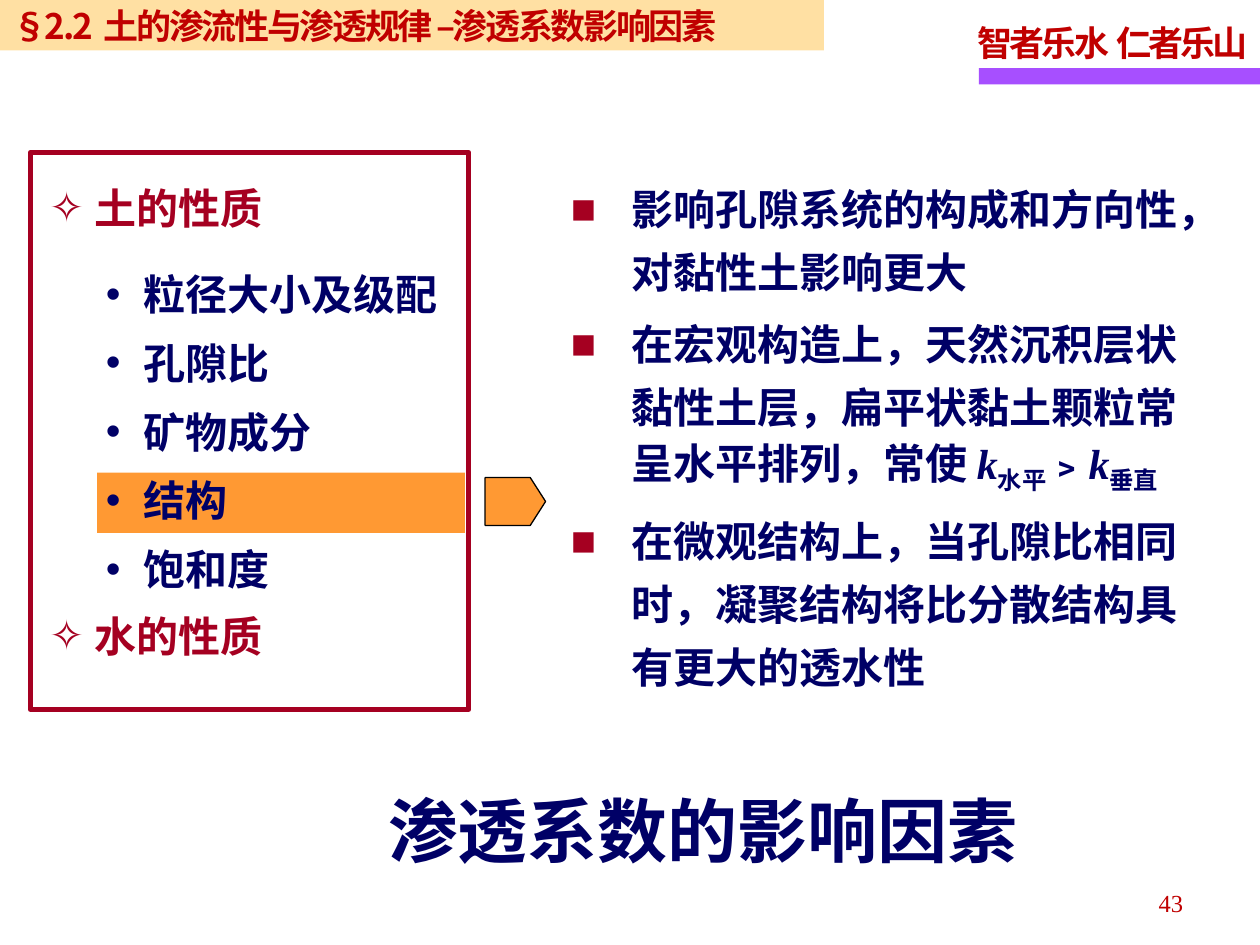
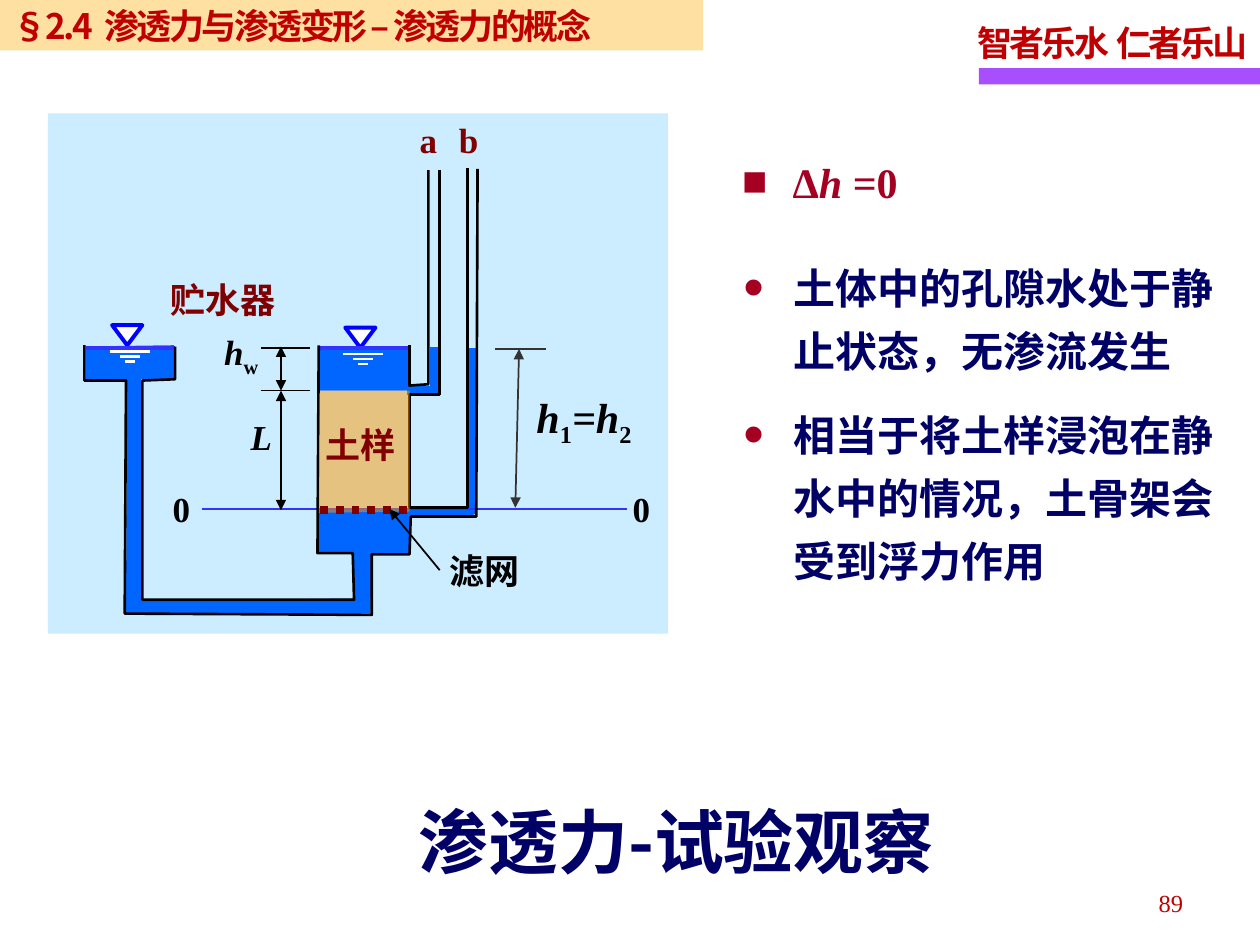
from typing import NamedTuple, Optional

from lxml import etree
from pptx import Presentation
from pptx.dml.color import RGBColor
from pptx.enum.dml import MSO_LINE
from pptx.enum.shapes import MSO_CONNECTOR, MSO_SHAPE
from pptx.enum.text import MSO_ANCHOR, MSO_AUTO_SIZE, PP_ALIGN
from pptx.oxml.ns import qn
from pptx.util import Emu, Inches, Pt

RECTANGLE, TRIANGLE, PENTAGON = MSO_SHAPE.RECTANGLE, MSO_SHAPE.ISOSCELES_TRIANGLE, MSO_SHAPE.PENTAGON
STRAIGHT, DOTTED = MSO_CONNECTOR.STRAIGHT, MSO_LINE.ROUND_DOT
LEFT, CENTER, RIGHT = PP_ALIGN.LEFT, PP_ALIGN.CENTER, PP_ALIGN.RIGHT
TOP, MIDDLE = MSO_ANCHOR.TOP, MSO_ANCHOR.MIDDLE

SANS, SERIF, LABEL_FONT = "Noto Sans CJK SC", "Times New Roman", "Arial"
NAVY, CRIMSON, RED, MAROON = "000066", "A50021", "C00000", "800000"
ORANGE, SAND, PURPLE, SKY = "FF9933", "FFCC66", "A74FFF", "CCECFF"
WATER, SURFACE, BLUE, SOIL = "0066FF", "3333FF", "0000FF", "FF9900"
BLACK, WHITE, GREY = "000000", "FFFFFF", "333333"

# The slide is a grid of 100 columns by 75 rows
COLUMNS, ROWS = 100, 75
CELL = Inches(0.1)


class Box(NamedTuple):
    col: float
    row: float
    cols: float
    rows: float


class Style(NamedTuple):
    size: float
    colour: str
    font: str = SANS
    bold: bool = True
    track: float = 0
    leading: float = 1.0


class Run(NamedTuple):
    text: str
    italic: bool = False
    subscript: bool = False


class Bullet(NamedTuple):
    mark: str
    margin: float
    hang: float
    colour: str
    percent: int = 100


class Item(NamedTuple):
    runs: list[Run]
    style: Style
    bullet: Bullet
    before: float = 0


class Label(NamedTuple):
    box: Box
    runs: list[Run]
    style: Style


class Line(NamedTuple):
    start: tuple[float, float]
    end: tuple[float, float]
    colour: str = BLACK
    width: float = 1
    arrows: tuple[str, ...] = ()
    dash: Optional[MSO_LINE] = None


class WaterLevel(NamedTuple):
    centre: float
    marks_row: float


TITLE = Style(40, NAVY)
BAND = Style(20, RED, track=-1.4)
MOTTO = Style(20, RED, SERIF, track=-1.7, leading=1.15)
NUMBER = Style(14, RED, SERIF, bold=False, leading=1.15)
HEADING = Style(24, CRIMSON, leading=1.2)
FACTOR = Style(24, NAVY, SERIF, leading=1.2)
EFFECT = Style(24, NAVY, SERIF, leading=1.25)
FINDING = Style(24, NAVY, leading=1.25)
CASE = Style(24, CRIMSON, SERIF, leading=1.2)
SYMBOL, BIG_SYMBOL = Style(20, BLACK, SERIF), Style(24, BLACK, SERIF)
TUBE, PART, NET = Style(20, MAROON, SERIF), Style(20, MAROON, LABEL_FONT), Style(20, BLACK, LABEL_FONT)


def grid(cells: float) -> Emu:
    return Emu(round(cells * CELL))


def area(box: Box) -> list[Emu]:
    return [grid(cells) for cells in box]


def rgb(colour: str) -> RGBColor:
    return RGBColor.from_string(colour)


def paint(shape, fill: Optional[str] = None, line: Optional[str] = None,
          width: float = 1, alpha: int = 100) -> None:
    shape.shadow.inherit = False
    if fill:
        shape.fill.solid()
        shape.fill.fore_color.rgb = rgb(fill)
        if alpha < 100:
            tint = shape.element.spPr.find(".//" + qn("a:srgbClr"))
            etree.SubElement(tint, qn("a:alpha"), val=str(alpha * 1000))
    else:
        shape.fill.background()
    if line:
        shape.line.color.rgb = rgb(line)
        shape.line.width = Pt(width)
    else:
        shape.line.fill.background()


def add_block(slide, kind, box: Box, fill=None, line=None, width: float = 1, alpha: int = 100):
    block = slide.shapes.add_shape(kind, *area(box))
    paint(block, fill, line, width, alpha)
    return block


def add_path(slide, points, fill=None, line=None, width: float = 1.5, alpha: int = 100) -> None:
    corners = [(grid(x), grid(y)) for x, y in points]
    builder = slide.shapes.build_freeform(*corners[0])
    builder.add_line_segments(corners[1:], close=fill is not None)
    paint(builder.convert_to_shape(), fill, line, width, alpha)


def add_line(slide, line: Line):
    connector = slide.shapes.add_connector(
        STRAIGHT, *[grid(cells) for cells in line.start + line.end])
    connector.line.color.rgb = rgb(line.colour)
    connector.line.width = Pt(line.width)
    if line.dash is not None:
        connector.line.dash_style = line.dash
    properties = connector.element.spPr
    for end in line.arrows:
        etree.SubElement(properties.find(qn("a:ln")), qn(end), type="triangle")
    etree.SubElement(properties, qn("a:effectLst"))
    return connector


def prepare(frame, anchor=TOP, wrap: bool = True) -> None:
    frame.auto_size = MSO_AUTO_SIZE.NONE
    frame.word_wrap = wrap
    frame.vertical_anchor = anchor
    frame.margin_left = frame.margin_right = frame.margin_top = frame.margin_bottom = 0


def write(paragraph, runs: list[Run], style: Style, align=LEFT,
          bullet: Optional[Bullet] = None, before: float = 0) -> None:
    if bullet:
        marks = paragraph._p.get_or_add_pPr()
        marks.set("marL", str(grid(bullet.margin)))
        marks.set("indent", str(-grid(bullet.hang)))
        tint = etree.SubElement(marks, qn("a:buClr"))
        etree.SubElement(tint, qn("a:srgbClr"), val=bullet.colour)
        etree.SubElement(marks, qn("a:buSzPct"), val=str(bullet.percent * 1000))
        etree.SubElement(marks, qn("a:buFont"), typeface=LABEL_FONT)
        etree.SubElement(marks, qn("a:buChar"), char=bullet.mark)
    paragraph.alignment = align
    paragraph.line_spacing = Pt(style.size * 1.2 * style.leading)
    paragraph.space_before, paragraph.space_after = Pt(before), Pt(0)
    for piece in runs:
        run = paragraph.add_run()
        run.text = piece.text
        run.font.name, run.font.size = style.font, Pt(style.size)
        run.font.bold, run.font.italic = style.bold, piece.italic
        run.font.color.rgb = rgb(style.colour)
        properties = run._r.get_or_add_rPr()
        properties.find(qn("a:latin")).addnext(etree.Element(qn("a:ea"), typeface=SANS))
        if style.track:
            properties.set("spc", str(round(style.track * 100)))
        if piece.subscript:
            properties.set("baseline", "-25000")


def add_label(slide, label: Label, align=CENTER):
    text = slide.shapes.add_textbox(*area(label.box))
    prepare(text.text_frame, wrap=False)
    write(text.text_frame.paragraphs[0], label.runs, label.style, align)
    return text


def place(placeholder, box: Box):
    placeholder.left, placeholder.top, placeholder.width, placeholder.height = area(box)
    prepare(placeholder.text_frame)
    return placeholder.text_frame


def fill_list(placeholder, box: Box, items: list[Item]) -> None:
    frame = place(placeholder, box)
    for index, item in enumerate(items):
        paragraph = frame.add_paragraph() if index else frame.paragraphs[0]
        write(paragraph, item.runs, item.style, bullet=item.bullet, before=item.before)


def start_slide(prs, section: str, band_cols: float, title: str, title_box: Box, number: str):
    slide = prs.slides.add_slide(prs.slide_layouts.get_by_name("Two Content"))
    write(place(slide.shapes.title, title_box).paragraphs[0], [Run(title)], TITLE)
    band = add_block(slide, RECTANGLE, Box(0, 0, band_cols, 4), SAND, alpha=60)
    prepare(band.text_frame, MIDDLE)
    band.text_frame.margin_left = grid(1)
    write(band.text_frame.paragraphs[0], [Run(section)], BAND)
    add_label(slide, Label(Box(72.6, 70.1, 21.3, 3), [Run(number)], NUMBER), RIGHT)
    return slide


def brand_master(prs, slide) -> None:
    """Move the motto and its bar from the slide to the master."""
    bar = add_block(slide, RECTANGLE, Box(77.7, 5.4, 22.3, 1.3), PURPLE)
    motto = add_label(slide, Label(Box(77.6, 1.2, 21.6, 3.9), [Run("智者乐水  仁者乐山")], MOTTO), LEFT)
    for number, shape in enumerate((bar, motto), start=21):
        shape.element.nvSpPr.cNvPr.set("id", str(number))
        prs.slide_master.shapes._spTree.append(shape.element)


def build_factors(prs) -> None:
    slide = start_slide(prs, "§2.2  土的渗流性与渗透规律 –渗透系数影响因素", 65.4,
                        "渗透系数的影响因素", Box(30.8, 62.5, 54, 6.7), "43")
    brand_master(prs, slide)
    factors, effects = slide.placeholders[1], slide.placeholders[2]

    # Factors, with the current one highlighted behind the list
    highlight = add_block(slide, RECTANGLE, Box(7.7, 37.5, 29.2, 4.8), ORANGE)
    factors.element.addprevious(highlight.element)
    add_block(slide, RECTANGLE, Box(2.4, 12.1, 34.8, 44.2), line=CRIMSON, width=3)
    star, dot = Bullet("✧", 3.6, 3.6, CRIMSON), Bullet("•", 7.5, 3, NAVY)
    names = ["粒径大小及级配", "孔隙比", "矿物成分", "结构", "饱和度"]
    fill_list(factors, Box(3.9, 13.7, 32.8, 40), [
        Item([Run("土的性质")], HEADING, star),
        *[Item([Run(name)], FACTOR, dot, 4.8 if index else 14.4) for index, name in enumerate(names)],
        Item([Run("水的性质")], HEADING, star, 3.8),
    ])
    pointer = add_block(slide, PENTAGON, Box(38.5, 37.9, 4.8, 3.8), ORANGE, BLACK, 0.75)
    pointer.adjustments[0] = 0.32

    # Effects of the soil structure
    square = Bullet("■", 4.8, 4.8, CRIMSON)
    points = [
        [Run("影响孔隙系统的构成和方向性，对黏性土影响更大")],
        [Run("在宏观构造上，天然沉积层状黏性土层，扁平状黏土颗粒常呈水平排列，常使 "),
         Run("k", True), Run("水平", subscript=True), Run("﹥"),
         Run("k", True), Run("垂直", subscript=True)],
        [Run("在微观结构上，当孔隙比相同时，凝聚结构将比分散结构具有更大的透水性")],
    ]
    fill_list(effects, Box(45.3, 13.6, 51, 41.6),
              [Item(runs, EFFECT, square, 4.8 if index else 0) for index, runs in enumerate(points)])


def draw_level(slide, level: WaterLevel) -> None:
    for step, half in enumerate((1.6, 0.8, 0.4)):
        row = level.marks_row + 0.4 * step
        add_line(slide, Line((level.centre - half, row), (level.centre + half, row), WHITE, 1.5))
    add_block(slide, TRIANGLE, Box(level.centre - 1.4, level.marks_row - 2.1, 2.4, 1.6),
              WHITE, BLUE, 2.25).rotation = 180
    add_line(slide, Line((level.centre - 3.5, 27.6), (level.centre + 3.6, 27.6), SURFACE, 2.25))


def draw_apparatus(slide) -> None:
    add_block(slide, RECTANGLE, Box(3.8, 9, 49.2, 41.3), SKY)

    # Water in the vessel, the reservoir and the two tubes
    add_block(slide, RECTANGLE, Box(25.3, 27.5, 7.2, 3.5), WATER)
    add_path(slide, [(32.6, 40.4), (32.5, 44), (29.5, 44), (29.4, 48.7), (10, 48.8), (10.1, 30.2),
                     (6.8, 30.2), (6.8, 27.5), (13.8, 27.4), (13.9, 30.1), (11.2, 30.1),
                     (11.3, 47.7), (28.2, 47.5), (27.9, 43.9), (25.2, 43.8), (25.2, 40.5)], WATER)
    add_path(slide, [(32.3, 31), (34.5, 31), (34.5, 27.5)], line=WATER, width=5.5)
    add_path(slide, [(32.5, 40.6), (37.5, 40.6), (37.5, 27.6)], line=WATER, width=4.5)
    for level in (WaterLevel(28.8, 28.1), WaterLevel(10.3, 27.9)):
        draw_level(slide, level)

    # Reference line and dimensions
    both = ("a:headEnd", "a:tailEnd")
    for line in (
        Line((16, 40.4), (49.8, 40.4), SURFACE),
        Line((39.3, 27.7), (43.3, 27.7), GREY),
        Line((41.2, 27.7), (40.9, 40.3), GREY, arrows=both),
        Line((20.7, 27.6), (24.6, 27.6)),
        Line((20.7, 31), (24.6, 31)),
        Line((22.3, 27.5), (22.3, 31), arrows=both),
        Line((22.3, 31), (22.3, 40.5), arrows=both),
    ):
        add_line(slide, line)

    # Walls of the vessel and tubes
    for wall in (
        [(25.3, 27.4), (25.2, 43.9), (28, 43.9), (28.1, 47.6), (11.3, 47.6), (11.3, 30.2),
         (13.9, 30.1), (13.9, 27.5)],
        [(6.7, 27.4), (6.7, 30.2), (10, 30.2), (9.9, 48.7), (29.5, 48.8), (29.5, 44), (32.5, 44),
         (32.6, 41), (37.8, 41), (37.9, 13.4)],
        [(32.5, 27.4), (32.5, 30.6), (34, 30.5), (34, 13.5)],
        [(34.9, 13.5), (34.9, 31.3), (32.5, 31.3), (32.5, 40.3), (37.1, 40.3), (37.1, 13.3)],
    ):
        add_path(slide, wall, line=BLACK)

    # Soil sample and filter
    add_path(slide, [(32.5, 31), (32.5, 40.6), (25.3, 40.7), (25.4, 31)], SOIL, alpha=50)
    add_line(slide, Line((25.4, 40.5), (32.5, 40.5), MAROON, 4.5, dash=DOTTED))
    net = add_label(slide, Label(Box(34.9, 43.6, 7.1, 3.3), [Run("滤网")], NET))
    leader = add_line(slide, Line((34.9, 45.2), (30.9, 40.4), arrows=("a:tailEnd",)))
    leader.begin_connect(net, 1)

    # Labels
    for label in (
        Label(Box(42.2, 31.6, 8.3, 4.1), [Run("h", True), Run("1", subscript=True), Run("=h", True),
                                         Run("2", subscript=True)], BIG_SYMBOL),
        Label(Box(50.2, 38.7, 1.4, 3.4), [Run("0")], SYMBOL),
        Label(Box(13.7, 38.7, 1.4, 3.4), [Run("0")], SYMBOL),
        Label(Box(17.7, 26.7, 2.9, 3.4), [Run("h", True), Run("w", subscript=True)], SYMBOL),
        Label(Box(19.9, 33, 1.7, 3.3), [Run("L", True)], SYMBOL),
        Label(Box(33.3, 9.4, 1.4, 3.4), [Run("a")], TUBE),
        Label(Box(36.4, 9.4, 1.6, 3.4), [Run("b")], TUBE),
        Label(Box(25.4, 33.6, 6.4, 3.3), [Run("土样")], PART),
        Label(Box(13.1, 22.1, 9.2, 3.3), [Run("贮水器")], PART),
    ):
        add_label(slide, label)


def build_experiment(prs) -> None:
    slide = start_slide(prs, "§2.4  渗透力与渗透变形 – 渗透力的概念", 55.8,
                        "渗透力-试验观察", Box(33.2, 63.4, 46.9, 6.7), "89")
    draw_apparatus(slide)

    # Observed case and findings
    fill_list(slide.placeholders[1], Box(58.9, 11.6, 16.2, 4.8),
              [Item([Run("Δ"), Run("h ", True), Run("=0")], CASE, Bullet("■", 4, 4, CRIMSON))])
    dot = Bullet("•", 4, 4, CRIMSON, 140)
    findings = ["土体中的孔隙水处于静止状态，无渗流发生",
                "相当于将土样浸泡在静水中的情况，土骨架会受到浮力作用"]
    fill_list(slide.placeholders[2], Box(59, 19.8, 38, 26.9),
              [Item([Run(text)], FINDING, dot, 12 if index else 0) for index, text in enumerate(findings)])


def main() -> None:
    prs = Presentation()
    prs.slide_width, prs.slide_height = grid(COLUMNS), grid(ROWS)
    build_factors(prs)
    build_experiment(prs)
    prs.save("out.pptx")


if __name__ == "__main__":
    main()
